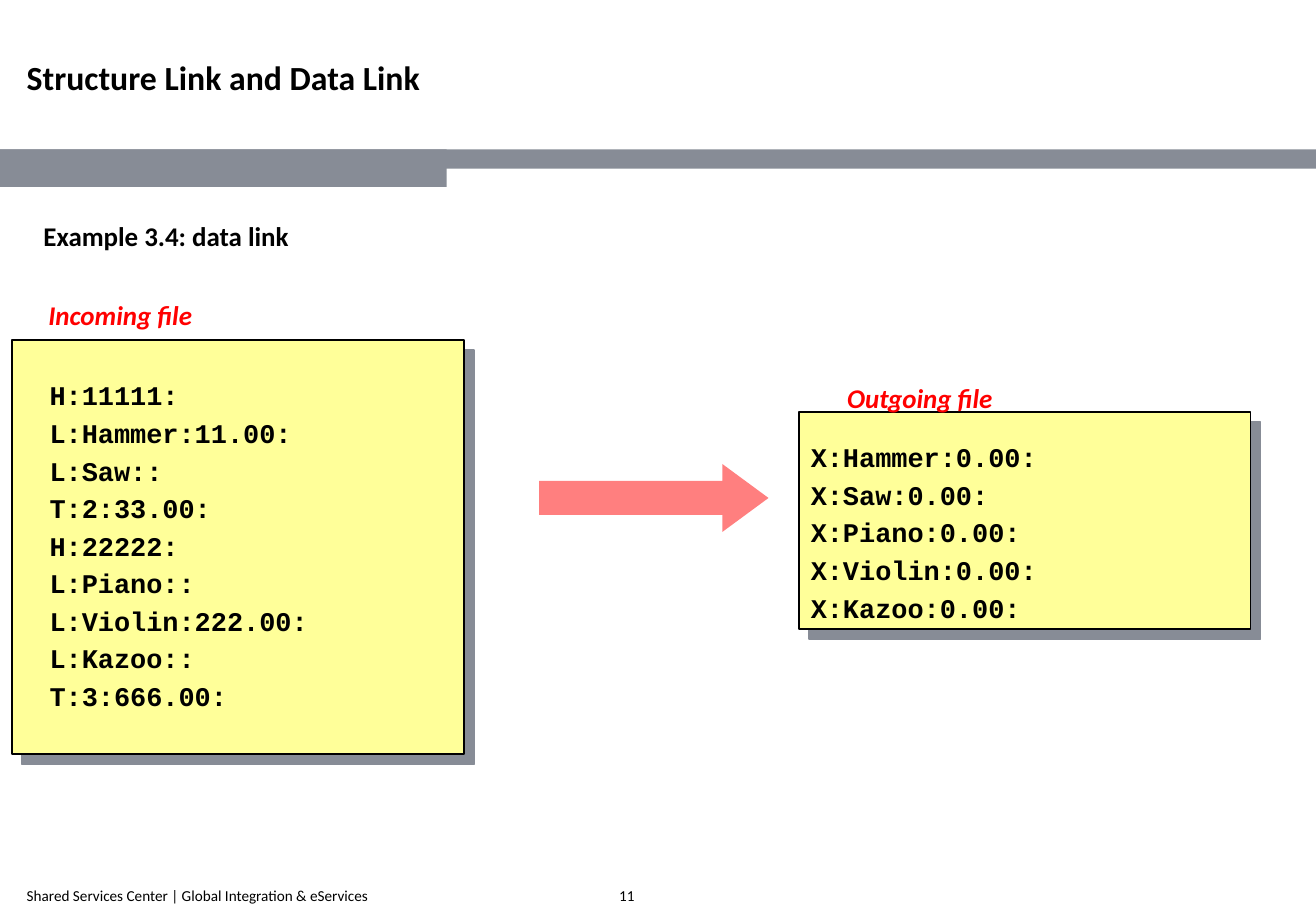
from lxml import etree
from pptx import Presentation
from pptx.dml.color import RGBColor
from pptx.enum import shapes, text
from pptx.oxml.ns import qn
from pptx.util import Inches, Pt

GREY, YELLOW, RED, BLACK = "878C96", "FFFF99", "FF0000", "000000"

deck = Presentation()
deck.slide_width, deck.slide_height = Inches(10.84), Inches(7.5)
page = deck.slides.add_slide(deck.slide_layouts[5])


def add_block(kind, place, color):
    block = page.shapes.add_shape(kind, *map(Inches, place))
    block.shadow.inherit = False
    block.fill.solid()
    block.fill.fore_color.rgb = RGBColor.from_string(color)
    block.line.fill.background()
    return block


def write(box, lines, size, color=BLACK, font="Calibri", bold=False, italic=False, inset=(0.1, 0.05)):
    frame = box.text_frame
    frame.word_wrap = True
    frame.auto_size = text.MSO_AUTO_SIZE.NONE
    frame.vertical_anchor = text.MSO_ANCHOR.TOP
    frame.margin_left = frame.margin_right = Inches(inset[0])
    frame.margin_top = frame.margin_bottom = Inches(inset[1])
    frame.text = "\n".join(lines)
    for index, para in enumerate(frame.paragraphs):
        para.alignment = text.PP_ALIGN.LEFT
        para.space_before = Pt(3.1 if index else 0)
        for span in para.runs:
            span.font.name = font
            span.font.size = Pt(size)
            span.font.bold = bold
            span.font.italic = italic
            span.font.color.rgb = RGBColor.from_string(color)


for width, height in [(10.84, 0.16), (3.68, 0.31)]:
    add_block(shapes.MSO_SHAPE.RECTANGLE, (0, 1.23, width, height), GREY)

title = page.shapes.title
title.left, title.top, title.width, title.height = map(Inches, (0.22, 0.47, 7.43, 0.71))
write(title, ["Structure Link and Data Link"], 20, bold=True, inset=(0, 0))

incoming = ["H:11111:", "L:Hammer:11.00:", "L:Saw::", "T:2:33.00:", "H:22222:",
            "L:Piano::", "L:Violin:222.00:", "L:Kazoo::", "T:3:666.00:"]
outgoing = [f"X:{item}:0.00:" for item in ("Hammer", "Saw", "Piano", "Violin", "Kazoo")]

files = [
    ((0.1, 2.8, 3.72, 3.41), (0.31, 3.07, 3.36, 3.02), incoming),
    ((6.58, 3.39, 3.72, 1.79), (6.58, 3.58, 3.72, 1.55), outgoing),
]
for card_place, record_place, records in files:
    card = add_block(shapes.MSO_SHAPE.RECTANGLE, card_place, YELLOW)
    card.line.color.rgb = RGBColor.from_string(BLACK)
    card.line.width = Pt(1)
    effects = card._element.spPr.find(qn("a:effectLst"))
    shadow = etree.SubElement(effects, qn("a:outerShdw"), blurRad="0", dist=str(Pt(8.5)),
                              dir="2700000", algn="ctr", rotWithShape="0")
    etree.SubElement(shadow, qn("a:srgbClr"), val=GREY)
    record_box = page.shapes.add_textbox(*map(Inches, record_place))
    write(record_box, records, 16, font="Courier New", bold=True)

arrow = add_block(shapes.MSO_SHAPE.RIGHT_ARROW, (4.44, 3.82, 1.89, 0.56), RED)
arrow.adjustments[0], arrow.adjustments[1] = 0.5, 0.68
arrow_color = arrow._element.spPr.find(qn("a:solidFill")).find(qn("a:srgbClr"))
etree.SubElement(arrow_color, qn("a:alpha"), val="50000")

headings = [
    ("Example 3.4: data link", (0.26, 1.76, 2.62, 0.37), BLACK, False),
    ("Incoming file", (0.3, 2.41, 1.64, 0.37), RED, True),
    ("Outgoing file", (6.88, 3.09, 1.64, 0.37), RED, True),
]
for heading, place, color, italic in headings:
    heading_box = page.shapes.add_textbox(*map(Inches, place))
    write(heading_box, [heading], 16, color, bold=True, italic=italic)

footers = [
    ("Shared Services Center | Global Integration & eServices", 0.22, 4.65),
    ("11", 5.1, 0.63),
]
for footer, left, width in footers:
    footer_box = page.shapes.add_textbox(*map(Inches, (left, 7.29, width, 0.16)))
    write(footer_box, [footer], 9, inset=(0, 0))
    footer_box.text_frame.vertical_anchor = text.MSO_ANCHOR.MIDDLE

deck.save("out.pptx")
